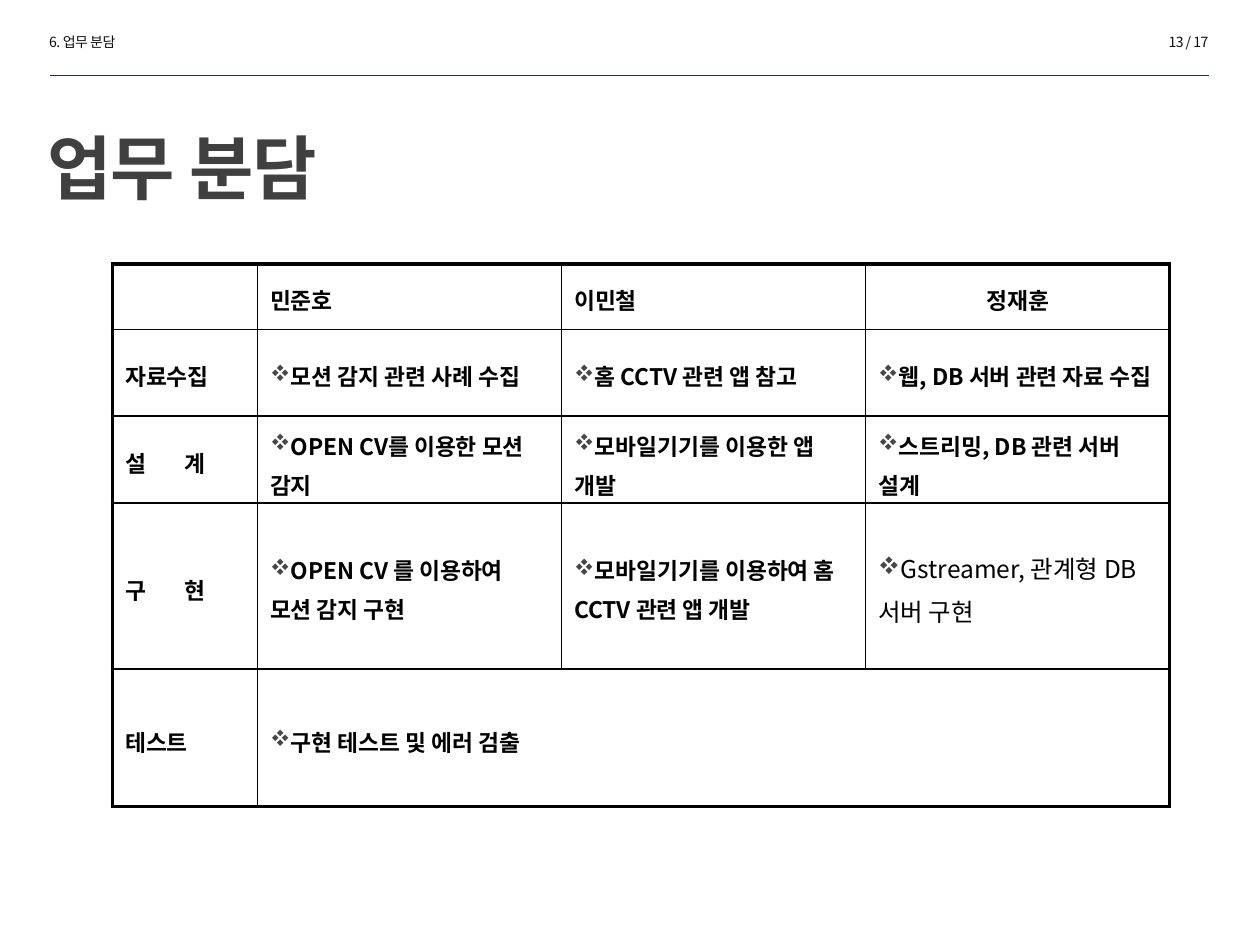
from dataclasses import dataclass

from lxml.etree import SubElement
from pptx import Presentation
from pptx.dml.color import RGBColor
from pptx.enum.shapes import MSO_CONNECTOR
from pptx.enum.text import MSO_ANCHOR, PP_ALIGN
from pptx.oxml.ns import qn
from pptx.util import Cm, Pt

SANS = "Noto Sans CJK KR"
INK = "0D0D0D"
BLACK = "000000"
COLUMN_WIDTHS = (2.92, 6.13, 6.13, 6.13)
ROW_HEIGHTS = (1.32, 1.75, 1.75, 3.35, 2.77)


@dataclass(frozen=True)
class TextStyle:
    size: float
    color: str = BLACK
    bold: bool = False
    font: str = SANS
    spacing: int = 0


@dataclass(frozen=True)
class Entry:
    text: str
    bullet: bool = False
    style: TextStyle = TextStyle(13, bold=True)
    align: PP_ALIGN | None = None
    span: int = 1


@dataclass(frozen=True)
class Label:
    text: str
    left: float
    top: float
    width: float
    height: float
    style: TextStyle
    align: PP_ALIGN = PP_ALIGN.LEFT
    anchor: MSO_ANCHOR = MSO_ANCHOR.TOP
    line_spacing: float = 1.0


def task(text: str, **options) -> Entry:
    """Return a bulleted table entry."""
    return Entry(text, bullet=True, **options)


HEADER_STYLE = TextStyle(8, INK, spacing=-30)
LABELS = (
    Label("6. 업무 분담", 0.74, 0.55, 4.39, 0.61, HEADER_STYLE),
    Label("13 / 17", 20.22, 0.55, 4.39, 0.61, HEADER_STYLE, PP_ALIGN.RIGHT),
    Label("업무 분담", 0.71, 1.91, 19.43, 1.63,
          TextStyle(40, "404040", True, "Arial", -50),
          anchor=MSO_ANCHOR.MIDDLE, line_spacing=1.75),
)
ASSIGNMENTS = (
    (Entry(""), Entry("민준호"), Entry("이민철"),
     Entry("정재훈", align=PP_ALIGN.CENTER)),
    (Entry("자료수집"), task("모션 감지 관련 사례 수집"),
     task("홈 CCTV 관련 앱 참고"), task("웹, DB 서버 관련 자료 수집")),
    (Entry("설\t계"), task("OPEN CV를 이용한 모션 감지"),
     task("모바일기기를 이용한 앱 개발"), task("스트리밍, DB 관련 서버 설계")),
    (Entry("구\t현"), task("OPEN CV 를 이용하여 모션 감지 구현"),
     task("모바일기기를 이용하여 홈 CCTV 관련 앱 개발"),
     task("Gstreamer, 관계형 DB 서버 구현", style=TextStyle(14))),
    (Entry("테스트"), task("구현 테스트 및 에러 검출", span=3)),
)


def rgb(color: str) -> RGBColor:
    """Convert a hex string to a colour."""
    return RGBColor.from_string(color)


def add_run(paragraph, text: str, style: TextStyle) -> None:
    """Add one styled run to a paragraph."""
    run = paragraph.add_run()
    run.text = text
    run.font.size = Pt(style.size)
    run.font.bold = style.bold
    run.font.name = style.font
    run.font.color.rgb = rgb(style.color)
    properties = run.font._element
    SubElement(properties, qn("a:ea"), typeface=SANS)
    if style.spacing:
        properties.set("spc", str(style.spacing))


def add_label(slide, label: Label) -> None:
    """Add a text box holding one paragraph."""
    box = slide.shapes.add_textbox(
        Cm(label.left), Cm(label.top), Cm(label.width), Cm(label.height))
    frame = box.text_frame
    frame.word_wrap = True
    frame.vertical_anchor = label.anchor
    paragraph = frame.paragraphs[0]
    paragraph.alignment = label.align
    paragraph.line_spacing = label.line_spacing
    add_run(paragraph, label.text, label.style)


def add_header_rule(slide) -> None:
    """Draw the thin rule below the page header."""
    rule = slide.shapes.add_connector(
        MSO_CONNECTOR.STRAIGHT, Cm(1.01), Cm(1.52), Cm(24.37), Cm(1.52))
    rule.line.color.rgb = rgb("1C314E")
    rule.line.width = Pt(0.25)
    SubElement(rule._element.spPr, qn("a:effectLst"))


def set_borders(cell, outer_sides: dict[str, bool]) -> None:
    """Draw heavy borders on outer sides and thin ones elsewhere."""
    properties = cell._tc.get_or_add_tcPr()
    for side, is_outer in outer_sides.items():
        width = Pt(2.25 if is_outer else 1)
        border = SubElement(properties, qn(f"a:ln{side}"), w=str(width))
        fill = SubElement(border, qn("a:solidFill"))
        SubElement(fill, qn("a:srgbClr"), val=BLACK)


def fill_cell(cell, entry: Entry) -> None:
    """Write an entry into a table cell."""
    cell.vertical_anchor = MSO_ANCHOR.MIDDLE
    if not entry.text:
        return
    paragraph = cell.text_frame.paragraphs[0]
    paragraph.alignment = entry.align
    paragraph.line_spacing = 1.2
    properties = paragraph._p.get_or_add_pPr()
    before = SubElement(properties, qn("a:spcBef"))
    SubElement(before, qn("a:spcPct"), val="20000")
    if entry.bullet:
        bullet_color = SubElement(properties, qn("a:buClr"))
        SubElement(bullet_color, qn("a:srgbClr"), val="464646")
        SubElement(properties, qn("a:buFont"), typeface="Wingdings", charset="2")
        SubElement(properties, qn("a:buChar"), char="v")
    if "\t" in entry.text:
        tabs = SubElement(properties, qn("a:tabLst"))
        SubElement(tabs, qn("a:tab"), pos=str(Cm(1.19)), algn="l")
    add_run(paragraph, entry.text, entry.style)


def add_assignments(slide) -> None:
    """Add the table of tasks per member and phase."""
    row_count, column_count = len(ROW_HEIGHTS), len(COLUMN_WIDTHS)
    table = slide.shapes.add_table(
        row_count, column_count, Cm(2.27), Cm(5.32),
        Cm(sum(COLUMN_WIDTHS)), Cm(sum(ROW_HEIGHTS))).table
    table.first_row = table.horz_banding = False
    for column, width in zip(table.columns, COLUMN_WIDTHS):
        column.width = Cm(width)
    for row, height in zip(table.rows, ROW_HEIGHTS):
        row.height = Cm(height)
    for row_index, entries in enumerate(ASSIGNMENTS):
        for column_index, entry in enumerate(entries):
            cell = table.cell(row_index, column_index)
            last_column = column_index + entry.span - 1
            if entry.span > 1:
                cell.merge(table.cell(row_index, last_column))
            set_borders(cell, {
                "L": column_index == 0,
                "R": last_column == column_count - 1,
                "T": row_index == 0,
                "B": row_index == row_count - 1,
            })
            fill_cell(cell, entry)
    for cell in table.iter_cells():
        cell.fill.background()


def main() -> None:
    """Build and save the slide."""
    presentation = Presentation()
    presentation.slide_width = Cm(25.4)
    presentation.slide_height = Cm(19.05)
    slide = presentation.slides.add_slide(presentation.slide_layouts[6])
    add_header_rule(slide)
    for label in LABELS:
        add_label(slide, label)
    add_assignments(slide)
    presentation.save("out.pptx")


if __name__ == "__main__":
    main()
